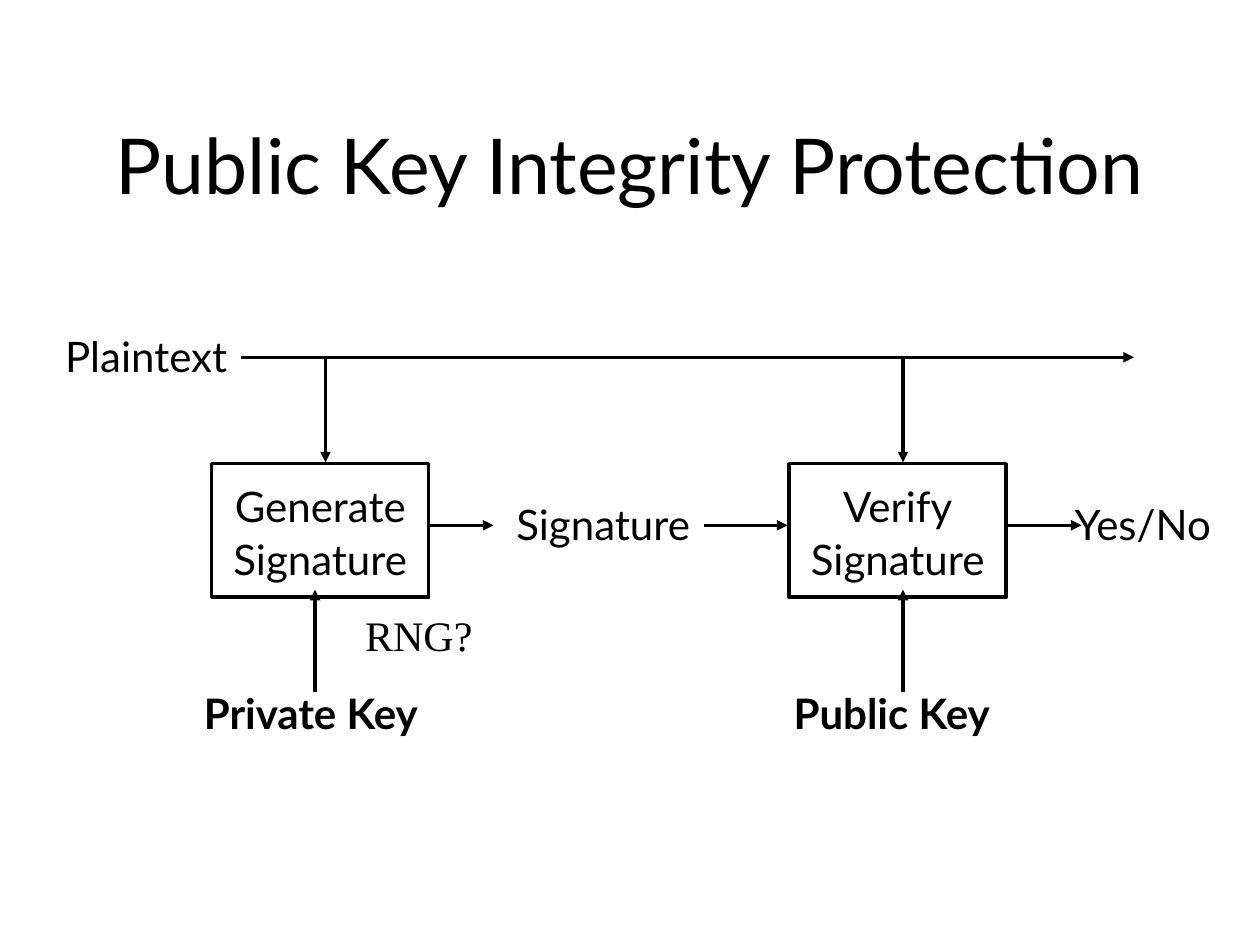
from dataclasses import dataclass

from lxml import etree
from pptx import Presentation
from pptx.dml.color import RGBColor
from pptx.enum.shapes import MSO_CONNECTOR, MSO_SHAPE
from pptx.enum.text import MSO_ANCHOR, MSO_AUTO_SIZE, PP_ALIGN
from pptx.oxml.ns import qn
from pptx.util import Pt

STRAIGHT = MSO_CONNECTOR.STRAIGHT
ROUNDED = MSO_SHAPE.ROUNDED_RECTANGLE
MIDDLE = MSO_ANCHOR.MIDDLE
TOP = MSO_ANCHOR.TOP
LEFT, CENTER = PP_ALIGN.LEFT, PP_ALIGN.CENTER
GROW, FIXED = MSO_AUTO_SIZE.SHAPE_TO_FIT_TEXT, MSO_AUTO_SIZE.NONE


@dataclass(frozen=True)
class Theme:
    ink: RGBColor = RGBColor(0, 0, 0)
    font: str = "Lato"
    note_font: str = "Times New Roman"
    title_size: float = 44
    text_size: float = 24
    line_width: float = 2
    first_spacing: float = 1.01
    next_spacing: float = 1.06


class DiagramSlide:
    """Holds the theme and the current slide; all lengths are points."""

    def __init__(self, slide, theme):
        self.slide = slide
        self.theme = theme

    def add_lines(self, frame, lines, size, alignment, font=None, bold=False):
        for index, line in enumerate(lines):
            paragraph = frame.paragraphs[0] if index == 0 else frame.add_paragraph()
            paragraph.alignment = alignment
            paragraph.line_spacing = (
                self.theme.next_spacing if index else self.theme.first_spacing)
            run = paragraph.add_run()
            run.text = line
            run.font.name = font or self.theme.font
            run.font.size = Pt(size)
            run.font.bold = bold
            run.font.color.rgb = self.theme.ink

    def title(self, text, left, top, width, height):
        shape = self.slide.shapes.title
        shape.left, shape.top = Pt(left), Pt(top)
        shape.width, shape.height = Pt(width), Pt(height)
        frame = shape.text_frame
        frame.vertical_anchor = MIDDLE
        frame.auto_size = FIXED
        self.add_lines(frame, [text], self.theme.title_size, CENTER)

    def label(self, lines, left, top, width, height, alignment=LEFT,
              font=None, bold=False, auto_size=GROW):
        shape = self.slide.shapes.add_textbox(
            Pt(left), Pt(top), Pt(width), Pt(height))
        frame = shape.text_frame
        frame.word_wrap = False
        frame.auto_size = auto_size
        frame.vertical_anchor = TOP
        self.add_lines(frame, lines, self.theme.text_size, alignment, font, bold)

    def box(self, left, top, width, height):
        shape = self.slide.shapes.add_shape(
            ROUNDED, Pt(left), Pt(top), Pt(width), Pt(height))
        shape.adjustments[0] = 0
        shape.shadow.inherit = False
        shape.fill.background()
        shape.line.color.rgb = self.theme.ink
        shape.line.width = Pt(self.theme.line_width)

    def arrow(self, start_x, start_y, end_x, end_y):
        connector = self.slide.shapes.add_connector(
            STRAIGHT, Pt(start_x), Pt(start_y), Pt(end_x), Pt(end_y))
        connector.line.color.rgb = self.theme.ink
        connector.line.width = Pt(self.theme.line_width)
        properties = connector._element.spPr
        etree.SubElement(properties.find(qn("a:ln")), qn("a:tailEnd"), type="triangle")
        etree.SubElement(properties, qn("a:effectLst"))


def main():
    presentation = Presentation()
    presentation.slide_width, presentation.slide_height = Pt(720), Pt(540)
    slide = presentation.slides.add_slide(presentation.slide_layouts[5])
    diagram = DiagramSlide(slide, Theme())
    diagram.title("Public Key Integrity Protection", 54, 36, 612, 114)

    # Plaintext line across the top
    plaintext_y, flow_y, label_height = 204.2, 300.2, 36.7
    label_offset = 19.2
    diagram.label(["Plaintext"], 30.2, plaintext_y - label_offset, 113, label_height)
    diagram.arrow(138, plaintext_y, 648, plaintext_y)

    # Each step takes the plaintext from above and a key from below
    box_top, box_width, box_height = 265, 124, 76.3
    steps = [
        # verb, box left, plaintext x, key x, key name, key left, key width
        ("Generate", 121, 186, 180, "Private Key", 109.4, 150.5),
        ("Verify", 451, 516, 516, "Public Key", 446.4, 137.5),
    ]
    for verb, left, plaintext_x, key_x, key, key_left, key_width in steps:
        diagram.label([verb, "Signature"], left, box_top + 5.7, box_width, 67, CENTER)
        diagram.box(left, box_top, box_width, box_height)
        diagram.arrow(plaintext_x, plaintext_y, plaintext_x, box_top - 0.8)
        diagram.label([key], key_left, 388.8, key_width, label_height, bold=True)
        diagram.arrow(key_x, 395.3, key_x, 337)

    # Signature flow from left to right
    for text, left, width in [("Signature", 288, 124), ("Yes/No", 607, 95)]:
        diagram.label([text], left, flow_y - label_offset, width, label_height)
    for start_x, end_x in [(246, 282), (402.5, 450), (576, 618)]:
        diagram.arrow(start_x, flow_y, end_x, flow_y)

    # Open question beside the private key
    diagram.label(["RNG?"], 201.6, 344.2, 64.8, 36,
                  font=diagram.theme.note_font, auto_size=FIXED)

    presentation.save("out.pptx")


if __name__ == "__main__":
    main()
